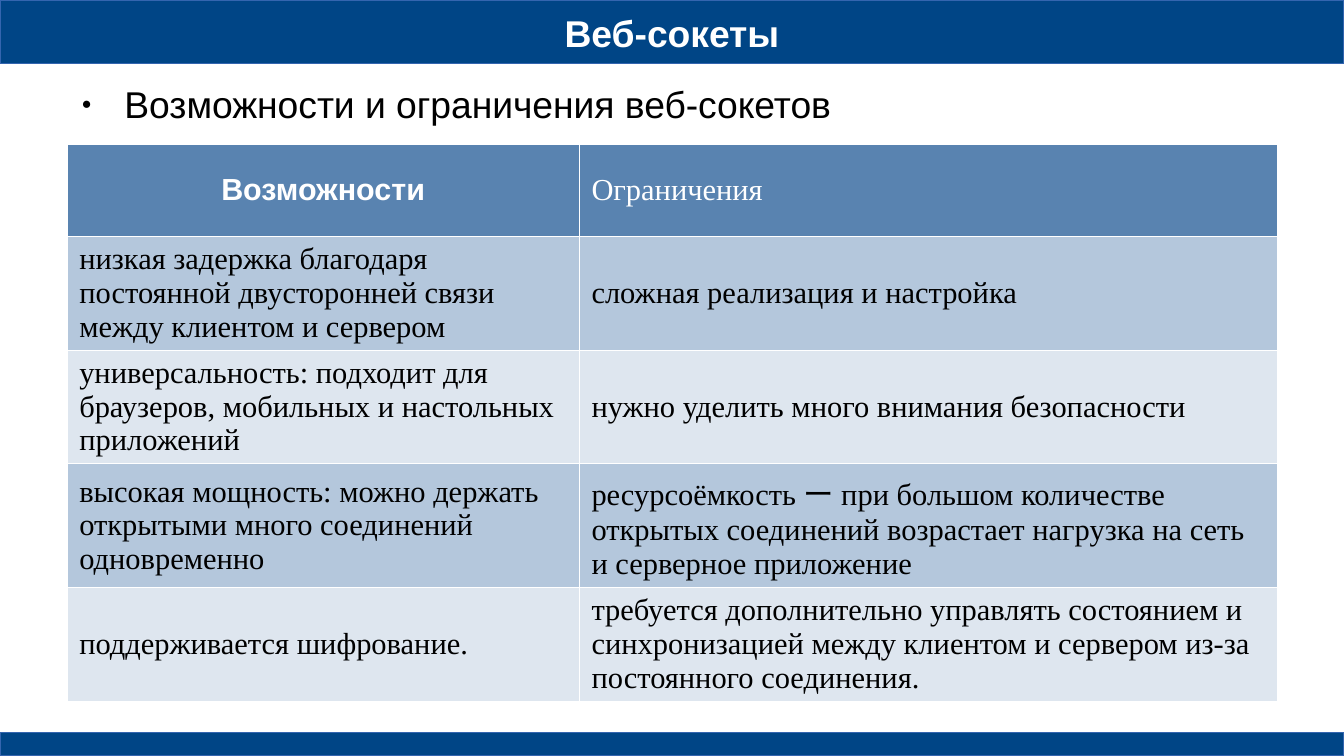
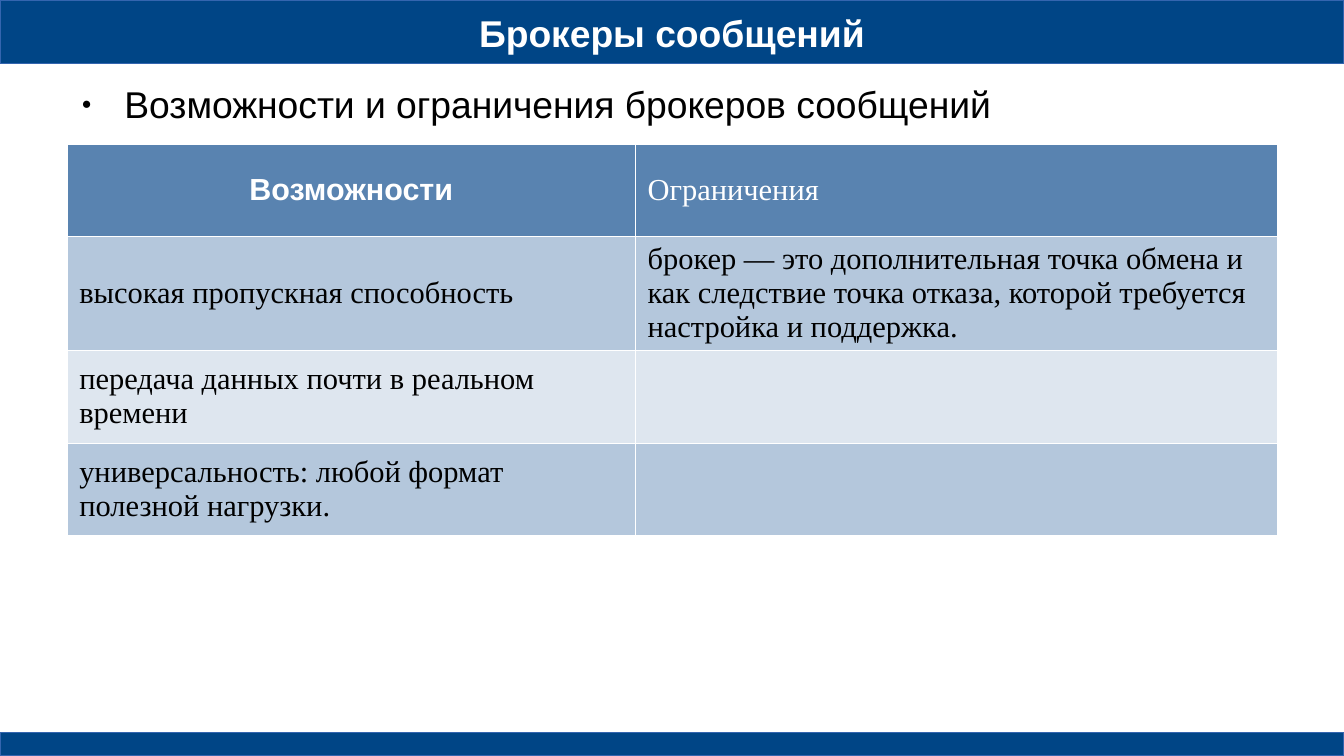
from lxml.etree import SubElement
from pptx import Presentation
from pptx.dml.color import RGBColor
from pptx.enum.shapes import MSO_SHAPE
from pptx.enum.text import MSO_ANCHOR, MSO_AUTO_SIZE, PP_ALIGN
from pptx.oxml.ns import qn
from pptx.util import Inches, Pt

WIDE, HIGH = 11.02, 6.2
BLUE, EDGE, HEAD = "004586", "3465AF", "5983B0"
ROWS = ["B4C7DC", "DEE6EF"]
WHITE, BLACK = "FFFFFF", "000000"
SANS, SERIF = "Arial", "Times New Roman"
TOP = (0, 0, WIDE, 0.52)
FOOT = (0, 6.01, WIDE, 0.19)
TITLE = (0, 0, WIDE, 0.53)
LEAD = (0.55, 0.67, 9.92, 0.51)
GRID = (0.55, 1.18, 9.92)
ROW = 0.76

SLIDES = [
    ("Веб-сокеты", "Возможности и ограничения веб-сокетов", 4.2, [
        ("низкая задержка благодаря постоянной двусторонней связи между клиентом и сервером",
         "сложная реализация и настройка"),
        ("универсальность: подходит для браузеров, мобильных и настольных приложений",
         "нужно уделить много внимания безопасности"),
        ("высокая мощность: можно держать открытыми много соединений одновременно",
         "ресурсоёмкость ー при большом количестве открытых соединений возрастает "
         "нагрузка на сеть и серверное приложение"),
        ("поддерживается шифрование.",
         "требуется дополнительно управлять состоянием и синхронизацией между "
         "клиентом и сервером из-за постоянного соединения."),
    ]),
    ("Брокеры сообщений", "Возможности и ограничения брокеров сообщений", 4.66, [
        ("высокая пропускная способность",
         "брокер — это дополнительная точка обмена и как следствие точка отказа, "
         "которой требуется настройка и поддержка."),
        ("передача данных почти в реальном времени", ""),
        ("универсальность: любой формат полезной нагрузки.", ""),
    ]),
]


def color(code):
    return RGBColor.from_string(code)


def write(frame, text, size=18, font=SERIF, ink=BLACK, bold=False,
          align=PP_ALIGN.LEFT, after=0):
    para = frame.paragraphs[0]
    para.alignment = align
    para.space_before = Pt(0)
    para.space_after = Pt(after)
    if text:
        run = para.add_run()
        run.text = text
        run.font.size = Pt(size)
        run.font.name = font
        run.font.bold = bold
        run.font.color.rgb = color(ink)
    return para


def place(shape, box):
    shape.left, shape.top, shape.width, shape.height = map(Inches, box)


def bare(shape, box, anchor):
    place(shape, box)
    frame = shape.text_frame
    frame.word_wrap = True
    frame.auto_size = MSO_AUTO_SIZE.NONE
    frame.vertical_anchor = anchor
    frame.margin_left = frame.margin_right = 0
    frame.margin_top = frame.margin_bottom = 0
    return frame


def bands(slide):
    tree = slide.slide_layout.placeholders[0].element.getparent()
    for spot, box in enumerate((TOP, FOOT), 2):
        band = slide.shapes.add_shape(MSO_SHAPE.RECTANGLE, *map(Inches, box))
        band.shadow.inherit = False
        band.fill.solid()
        band.fill.fore_color.rgb = color(BLUE)
        band.line.color.rgb = color(EDGE)
        band.line.width = 0
        tree.insert(spot, band.element)


def title(slide, box, text):
    frame = bare(slide.shapes.title, box, MSO_ANCHOR.MIDDLE)
    write(frame, text, size=22, font=SANS, ink=WHITE, bold=True,
          align=PP_ALIGN.CENTER, after=10.6)


def lead(slide, box, text):
    frame = bare(slide.placeholders[1], box, MSO_ANCHOR.TOP)
    para = write(frame, text, size=22, font=SANS, after=10.6)
    props = para._p.get_or_add_pPr()
    props.set("marL", str(Inches(0.47)))
    props.set("indent", str(Inches(-0.35)))
    tint = SubElement(props, qn("a:buClr"))
    SubElement(tint, qn("a:srgbClr"), val=BLACK)
    SubElement(props, qn("a:buSzPct"), val="45000")
    SubElement(props, qn("a:buFont"), typeface=SANS)
    SubElement(props, qn("a:buChar"), char="●")


def paint(cell, fill):
    props = cell._tc.get_or_add_tcPr()
    for side in ("lnL", "lnR", "lnT", "lnB"):
        line = SubElement(props, qn("a:" + side), w=str(Pt(0.06)))
        solid = SubElement(line, qn("a:solidFill"))
        SubElement(solid, qn("a:srgbClr"), val=WHITE)
    cell.fill.solid()
    cell.fill.fore_color.rgb = color(fill)
    cell.vertical_anchor = MSO_ANCHOR.MIDDLE


def grid(slide, box, split, rows):
    left, top, wide = box
    count = len(rows) + 1
    table = slide.shapes.add_table(
        count, 2, Inches(left), Inches(top), Inches(wide), Inches(ROW * count)).table
    table.first_row = table.horz_banding = False
    for col, width in zip(table.columns, (split, wide - split)):
        col.width = Inches(width)
    for cell in table.iter_cells():
        cell.margin_left = cell.margin_right = Inches(0.1)
        cell.margin_top = cell.margin_bottom = Inches(0.05)
    pros, cons = table.cell(0, 0), table.cell(0, 1)
    paint(pros, HEAD)
    paint(cons, HEAD)
    write(pros.text_frame, "Возможности", font=SANS, ink=WHITE, bold=True,
          align=PP_ALIGN.CENTER)
    write(cons.text_frame, "Ограничения", ink=WHITE)
    for row, texts in enumerate(rows):
        for col, text in enumerate(texts):
            cell = table.cell(row + 1, col)
            paint(cell, ROWS[row % 2])
            write(cell.text_frame, text)


def main():
    deck = Presentation()
    deck.slide_width, deck.slide_height = Inches(WIDE), Inches(HIGH)
    layout = deck.slide_layouts[1]
    for name, topic, split, rows in SLIDES:
        slide = deck.slides.add_slide(layout)
        if len(deck.slides) == 1:
            bands(slide)
        title(slide, TITLE, name)
        lead(slide, LEAD, topic)
        grid(slide, GRID, split, rows)
    deck.save("out.pptx")


if __name__ == "__main__":
    main()
